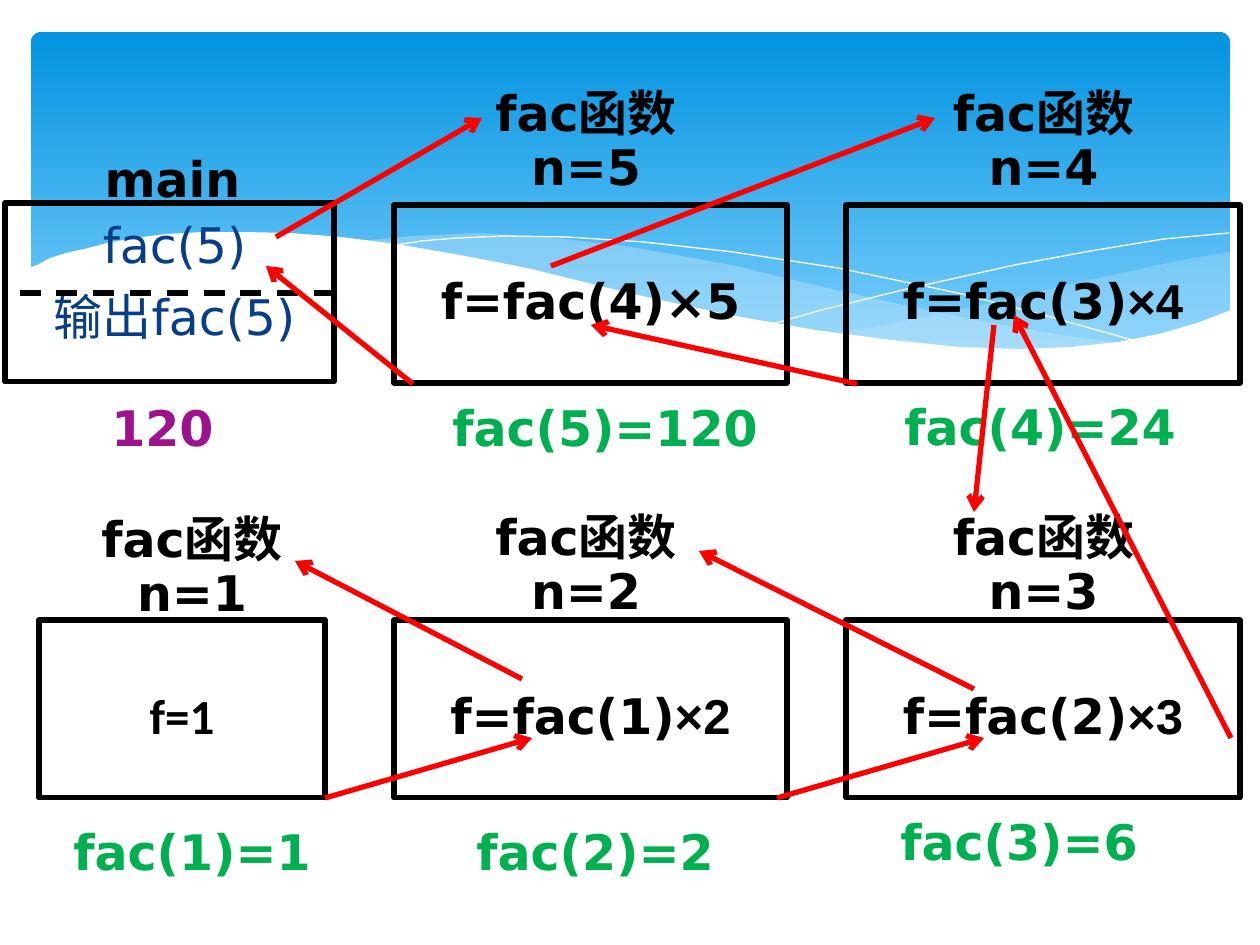
from lxml.etree import SubElement
from pptx import Presentation
from pptx.dml.color import RGBColor
from pptx.enum.dml import MSO_LINE
from pptx.enum.shapes import MSO_CONNECTOR, MSO_SHAPE
from pptx.enum.text import MSO_ANCHOR, PP_ALIGN
from pptx.oxml.ns import qn
from pptx.util import Emu, Pt

PX = 914400 / 126
BLACK, RED, GREEN = "000000", "FF0000", "00B050"
FONT = "DejaVu Sans"


def color(value):
    return RGBColor.from_string(value)


def write(shape, lines, ink=BLACK, spacing=None, top=11, bold=True):
    """Fill a shape with centred lines, each a list of (text, font) spans."""
    frame = shape.text_frame
    layout = dict(word_wrap=True, vertical_anchor=MSO_ANCHOR.TOP,
                  margin_left=Emu(91440), margin_right=Emu(91440),
                  margin_top=Emu(round(top * PX)), margin_bottom=Emu(45720))
    for name, value in layout.items():
        setattr(frame, name, value)
    for index, line in enumerate(lines):
        para = frame.add_paragraph() if index else frame.paragraphs[0]
        para.alignment = PP_ALIGN.CENTER
        para.line_spacing = spacing
        para.space_before = Pt(7 if index else 0)
        for text, font in line:
            span = para.add_run()
            span.text = text
            for name, value in dict(name=font, size=Pt(28), bold=bold).items():
                setattr(span.font, name, value)
            span.font.color.rgb = color(ink)


deck = Presentation()
deck.slide_width, deck.slide_height = Emu(9144000), Emu(6858000)
page = deck.slides.add_slide(deck.slide_layouts[6])
shapes = page.shapes

# Blue banner with waves
banner = shapes.add_shape(MSO_SHAPE.ROUNDED_RECTANGLE,
                          *[Emu(round(v * PX)) for v in (31, 32, 1199, 340)])
banner.shadow.inherit = False
banner.adjustments[0] = 0.03
banner.fill.gradient()
banner.fill.gradient_angle = 270
for stop, value, place in zip(banner.fill.gradient_stops, ("0293E0", "83D3FE"), (0, 1)):
    stop.color.rgb = color(value)
    stop.position = place
banner.line.fill.background()

# Points, fill colour (None for an open line), opacity in percent
waves = [
    ([(1229, 252), (1178, 261), (1085, 281), (982, 305), (890, 324), (833, 334),
      (871, 339), (922, 345), (984, 349), (1038, 349), (1099, 345), (1160, 334),
      (1196, 324), (1230, 311), (1230, 252)], "C6E7FC", 29),
    ([(1125, 344), (1055, 334), (976, 320), (890, 302), (793, 280), (736, 266),
      (682, 256), (631, 247), (556, 238), (479, 233), (413, 236), (360, 241),
      (431, 251), (509, 266), (566, 280), (668, 302), (757, 321), (838, 335),
      (910, 345), (974, 350), (1031, 351), (1080, 349)], "C6E7FC", 40),
    ([(389, 246), (422, 241), (457, 238), (505, 236), (567, 237), (643, 242),
      (733, 252), (838, 268), (958, 293), (1047, 316), (1143, 343)], None, 100),
    ([(772, 324), (822, 310), (907, 289), (1015, 265), (1091, 251), (1164, 239),
      (1229, 233)], None, 100),
    ([(1231, 310), (1197, 323), (1159, 334), (1118, 342), (1071, 347), (1019, 349),
      (959, 347), (892, 340), (815, 330), (730, 315), (633, 294), (527, 268),
      (460, 255), (396, 244), (341, 237), (290, 233), (243, 232), (203, 232),
      (166, 234), (134, 238), (107, 243), (84, 249), (66, 253), (50, 258),
      (37, 265), (29, 268), (29, 415), (1231, 415)], "FFFFFF", 100),
]
for points, fill, opacity in waves:
    builder = shapes.build_freeform(*points[0], scale=PX)
    builder.add_line_segments(points[1:], close=fill is not None)
    wave = builder.convert_to_shape()
    wave.shadow.inherit = False
    if fill:
        wave.fill.solid()
        wave.fill.fore_color.rgb = color(fill)
        wave.line.fill.background()
        tint = wave.fill._xPr.find(qn("a:solidFill"))[0]
        SubElement(tint, qn("a:alpha"), val=str(opacity * 1000))
    else:
        wave.fill.background()
        wave.line.color.rgb = color("FFFFFF")
        wave.line.width = Pt(0)

# Call frames: left, top, width, height, spans
frames = [
    (5, 203, 329, 179, []),
    (394, 205, 393, 178, [("f=fac(4)×5", FONT)]),
    (846, 205, 394, 178, [("f=fac(3)", FONT), ("×4", "Arial")]),
    (394, 620, 393, 178, [("f=fac(1)", FONT), ("×2", "Arial")]),
    (846, 620, 394, 178, [("f=fac(2)", FONT), ("×3", "Arial")]),
    (39, 620, 286, 178, [("f=1", "Calibri")]),
]
for *place, spans in frames:
    frame_box = shapes.add_shape(MSO_SHAPE.RECTANGLE, *[Emu(round(v * PX)) for v in place])
    frame_box.shadow.inherit = False
    frame_box.fill.background()
    frame_box.line.color.rgb = color(BLACK)
    frame_box.line.width = Pt(3)
    if spans:
        write(frame_box, [spans], spacing=1.2, top=54)

# Labels: left, top, width, height, lines, colour, line spacing, bold
labels = [
    (10, 204, 329, 179, ["fac(5)", "输出fac(5)"], "073E87", None, False),
    (69, 126, 207, 88, ["main"], BLACK, 1.2, True),
    (394, 88, 384, 126, ["fac函数", "n=5"], BLACK, Pt(24), True),
    (847, 88, 393, 126, ["fac函数", "n=4"], BLACK, Pt(24), True),
    (394, 512, 384, 116, ["fac函数", "n=2"], BLACK, Pt(24), True),
    (847, 512, 393, 106, ["fac函数", "n=3"], BLACK, Pt(24), True),
    (0, 514, 384, 106, ["fac函数", "n=1"], BLACK, Pt(24), True),
    (0, 827, 384, 78, ["fac(1)=1"], GREEN, Pt(24), True),
    (403, 827, 384, 78, ["fac(2)=2"], GREEN, Pt(24), True),
    (827, 817, 384, 78, ["fac(3)=6"], GREEN, Pt(24), True),
    (848, 402, 384, 78, ["fac(4)=24"], GREEN, Pt(24), True),
    (413, 403, 384, 78, ["fac(5)=120"], GREEN, Pt(24), True),
    (49, 403, 227, 59, ["120"], "9D138D", Pt(24), True),
]
for *place, lines, ink, spacing, bold in labels:
    box = shapes.add_textbox(*[Emu(round(v * PX)) for v in place])
    write(box, [[(line, FONT)] for line in lines], ink, spacing, bold=bold)

# Divider in the main frame, then calls and returns: start x, y, end x, y
divider = (335, 293, 10, 293)
arrows = [
    (276, 237, 482, 118), (551, 266, 935, 118), (994, 325, 974, 512),
    (974, 689, 699, 551), (522, 679, 295, 561), (325, 798, 532, 738),
    (777, 798, 984, 738), (1231, 738, 1014, 315), (857, 384, 591, 325),
    (413, 384, 266, 266),
]
for ends in [divider, *arrows]:
    link = shapes.add_connector(MSO_CONNECTOR.STRAIGHT, *[Emu(round(v * PX)) for v in ends])
    link.line.width = Pt(3)
    link.line.color.rgb = color(BLACK if ends is divider else RED)
    if ends is divider:
        link.line.dash_style = MSO_LINE.DASH
    else:
        SubElement(link.line._get_or_add_ln(), qn("a:tailEnd"), type="arrow")
    SubElement(link._element.spPr, qn("a:effectLst"))

deck.save("out.pptx")
